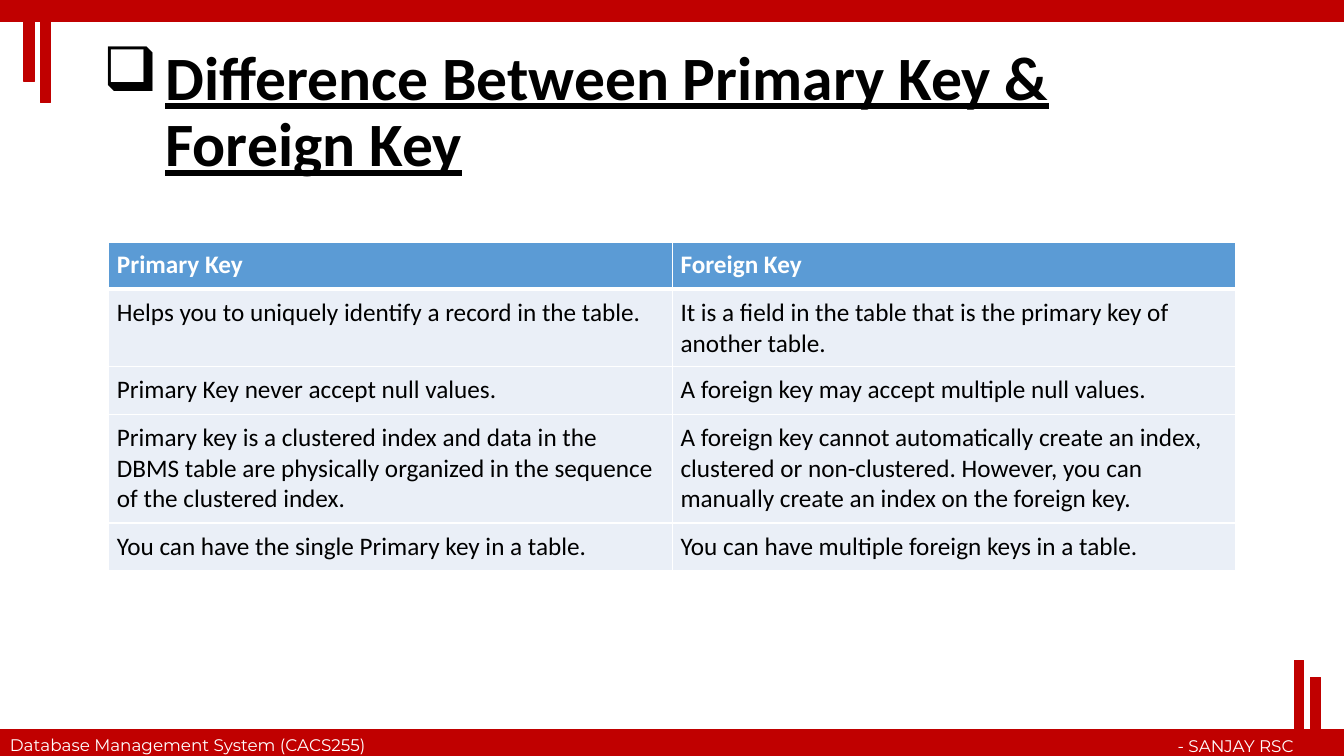
from dataclasses import dataclass

from lxml.etree import SubElement
from pptx import Presentation
from pptx.dml.color import RGBColor
from pptx.enum.shapes import MSO_SHAPE as Shape
from pptx.enum.text import MSO_ANCHOR as Anchor, MSO_AUTO_SIZE as AutoSize, PP_ALIGN as Align
from pptx.oxml.ns import qn
from pptx.util import Inches, Pt


@dataclass(frozen=True)
class Theme:
    accent: str = "C00000"
    header: str = "5B9BD5"
    band: str = "EAEFF7"
    light: str = "FFFFFF"
    dark: str = "000000"
    body_font: str = "Calibri"
    footer_font: str = "Montserrat"
    title_size: int = 44
    table_size: int = 18
    footer_size: int = 12


class SlideBuilder:
    def __init__(self, slide, theme):
        self.slide = slide
        self.theme = theme

    def style(self, para, font, size, color, bold=False, underline=False):
        for span in para.runs:
            span.font.name = font
            span.font.size = Pt(size)
            span.font.color.rgb = RGBColor.from_string(color)
            span.font.bold = bold
            span.font.underline = underline

    def bar(self, left, top, width, height):
        box = self.slide.shapes.add_shape(Shape.RECTANGLE, *map(Inches, (left, top, width, height)))
        color = RGBColor.from_string(self.theme.accent)
        box.fill.solid()
        box.fill.fore_color.rgb = color
        box.line.color.rgb = color
        box.line.width = Pt(1)
        box.shadow.inherit = False

    def footer(self, text, left, top, width, align):
        box = self.slide.shapes.add_textbox(*map(Inches, (left, top, width, 0.3)))
        box.text_frame.word_wrap = True
        box.text_frame.text = text
        para = box.text_frame.paragraphs[0]
        para.alignment = align
        self.style(para, self.theme.footer_font, self.theme.footer_size, self.theme.light)

    def title(self, text, left, top, width, height, bullet, indent):
        box = self.slide.shapes.title
        box.left, box.top, box.width, box.height = map(Inches, (left, top, width, height))
        frame = box.text_frame
        frame.word_wrap = True
        frame.auto_size = AutoSize.NONE
        frame.vertical_anchor = Anchor.MIDDLE
        frame.text = text
        para = frame.paragraphs[0]
        para.alignment = Align.LEFT
        para.line_spacing = 0.9
        properties = para._p.get_or_add_pPr()
        properties.set("marL", str(Inches(indent)))
        properties.set("indent", str(-Inches(indent)))
        SubElement(properties, qn("a:buChar"), char=bullet)
        self.style(para, self.theme.body_font, self.theme.title_size, self.theme.dark, True, True)

    def border(self, cell, side, width):
        line = SubElement(cell._tc.get_or_add_tcPr(), qn(f"a:ln{side}"), w=str(Pt(width)))
        fill = SubElement(line, qn("a:solidFill"))
        SubElement(fill, qn("a:srgbClr"), val=self.theme.light)

    def cell(self, cell, text, is_header, below_header):
        theme = self.theme
        cell.text_frame.text = text
        cell.margin_left = cell.margin_right = cell.margin_top = cell.margin_bottom = Inches(0.08)
        widths = {"L": 1, "R": 1, "T": 3 if below_header else 1, "B": 3 if is_header else 1}
        for side, width in widths.items():
            self.border(cell, side, width)
        cell.fill.solid()
        cell.fill.fore_color.rgb = RGBColor.from_string(theme.header if is_header else theme.band)
        color = theme.light if is_header else theme.dark
        self.style(cell.text_frame.paragraphs[0], theme.body_font, theme.table_size, color, is_header)

    def table(self, rows, left, top, width, heights):
        size = (left, top, width, sum(heights))
        table = self.slide.shapes.add_table(len(rows), len(rows[0]), *map(Inches, size)).table
        for index, (row, height) in enumerate(zip(rows, heights)):
            table.rows[index].height = Inches(height)
            for column, text in enumerate(row):
                self.cell(table.cell(index, column), text, index == 0, index == 1)


BARS = [
    (0, 7.24, 13.33, 0.26),
    (0, 0, 13.33, 0.21),
    (0.4, 0.01, 0.1, 1.01),
    (0.24, 0.03, 0.1, 0.78),
    (12.84, 6.55, 0.09, 0.94),
    (13, 6.72, 0.1, 0.78),
]
KEY_COMPARISON = [
    ("Primary Key", "Foreign Key"),
    ("Helps you to uniquely identify a record in the table.",
     "It is a field in the table that is the primary key of another table."),
    ("Primary Key never accept null values.",
     "A foreign key may accept multiple null values."),
    ("Primary key is a clustered index and data in the DBMS table are physically organized "
     "in the sequence of the clustered index.",
     "A foreign key cannot automatically create an index, clustered or non-clustered. "
     "However, you can manually create an index on the foreign key."),
    ("You can have the single Primary key in a table.",
     "You can have multiple foreign keys in a table."),
]
ROW_HEIGHTS = [0.47, 0.77, 0.47, 1.08, 0.47]


def main():
    deck = Presentation()
    deck.slide_width, deck.slide_height = Inches(13.33), Inches(7.5)
    page = SlideBuilder(deck.slides.add_slide(deck.slide_layouts[5]), Theme())
    for bar in BARS:
        page.bar(*bar)
    page.footer("Database Management System (CACS255)", 0, 7.24, 4.16, Align.LEFT)
    page.footer("- SANJAY RSC", 9.7, 7.25, 3.23, Align.RIGHT)
    page.title("Difference Between Primary Key & Foreign Key", 0.92, 0.4, 11.5, 1.45, "❑", 0.62)
    page.table(KEY_COMPARISON, 1.08, 2.4, 11.18, ROW_HEIGHTS)
    deck.save("out.pptx")


if __name__ == "__main__":
    main()
